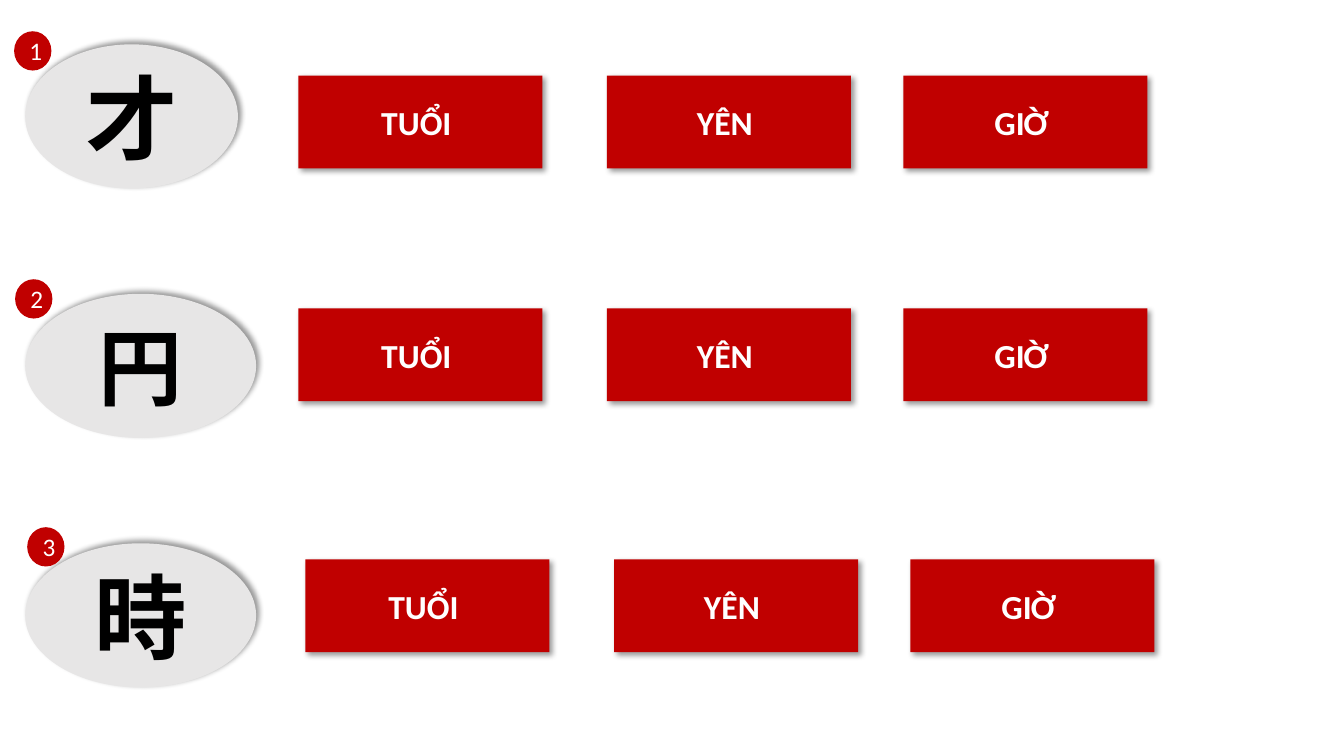
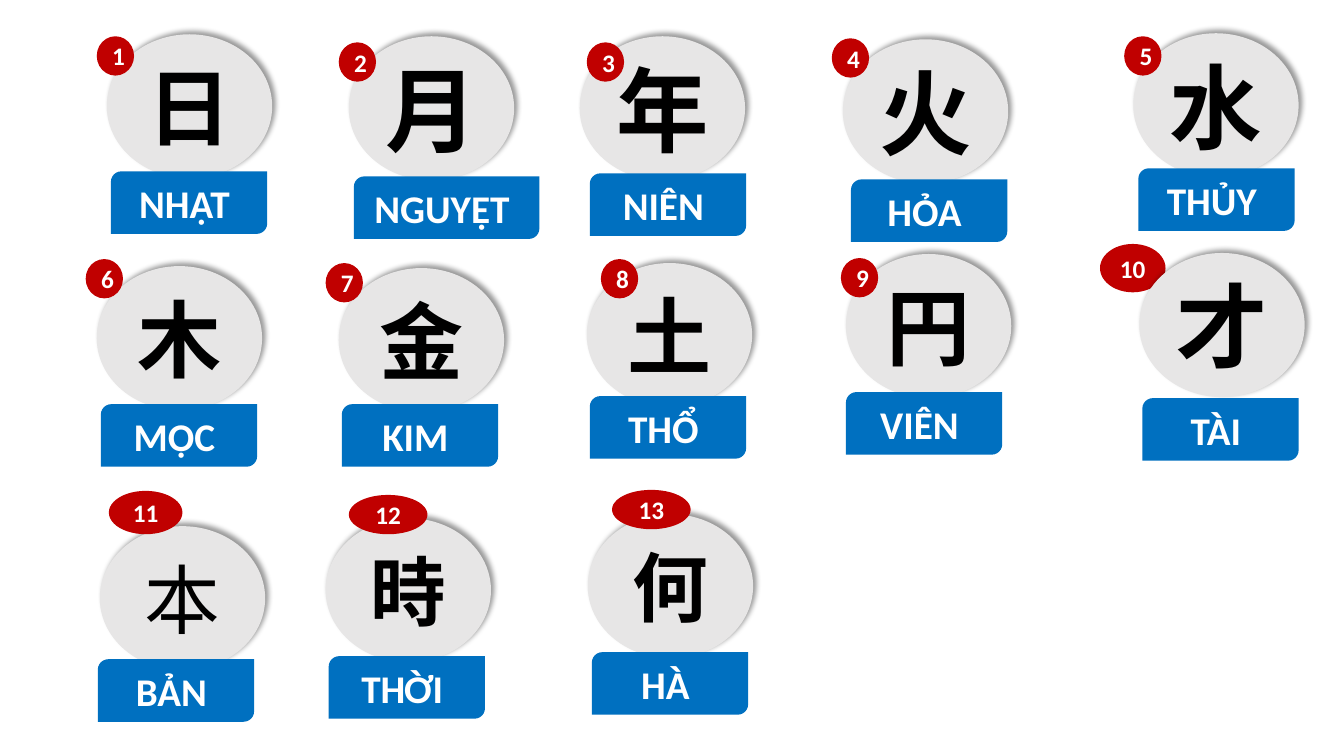
from lxml import etree
from pptx import Presentation
from pptx.dml.color import RGBColor
from pptx.enum.shapes import MSO_SHAPE as SHAPE
from pptx.enum.text import MSO_ANCHOR, PP_ALIGN
from pptx.oxml.ns import qn
from pptx.util import Inches, Pt

RED, BLUE, GREY, BLACK, WHITE = "C00000", "0070C0", "E7E6E6", "000000", "FFFFFF"
KANJI = dict(fill=GREY, color=BLACK, font="Arial", shadow=315)
OPTION = dict(fill=RED, size=24, bold=True, shadow=45, right=0.18)
LABEL = dict(fill=BLUE, size=28, bold=True, right=0.19)
BADGE = dict(fill=RED, size=18)
BADGE_SIZE = (0.37, 0.39)


def add_shadow(sp, angle):
    """Fill the shape's effect list with a soft outer shadow cast at angle degrees."""
    effects = sp._element.spPr.find(qn("a:effectLst"))
    shadow = etree.SubElement(
        effects, qn("a:outerShdw"), blurRad=str(Pt(4)), dist=str(Pt(3)),
        dir=str(angle * 60000), algn="tl" if angle == 45 else "bl", rotWithShape="0")
    color = etree.SubElement(shadow, qn("a:srgbClr"), val=BLACK)
    etree.SubElement(color, qn("a:alpha"), val="40000")


def add_text_shape(s, kind, box, text, *, fill, size, color=WHITE, font="Calibri",
                   bold=False, shadow=None, right=0.1):
    """Add a filled shape with one centred line; right is the right text inset."""
    sp = s.shapes.add_shape(kind, *map(Inches, box))
    sp.fill.solid()
    sp.fill.fore_color.rgb = RGBColor.from_string(fill)
    sp.line.fill.background()
    sp.shadow.inherit = False
    if shadow is not None:
        add_shadow(sp, shadow)
    tf = sp.text_frame
    tf.word_wrap = True
    tf.vertical_anchor = MSO_ANCHOR.MIDDLE
    tf.margin_right = Inches(right)
    p = tf.paragraphs[0]
    p.alignment = PP_ALIGN.CENTER
    r = p.add_run()
    r.text = text
    r.font.size = Pt(size)
    r.font.bold = bold
    r.font.color.rgb = RGBColor.from_string(color)
    r.font.name = font
    etree.SubElement(r.font._element, qn("a:ea"), typeface=font)


prs = Presentation()
prs.slide_width, prs.slide_height = Inches(13.33), Inches(7.5)
blank = prs.slide_layouts[6]

# Quiz: one kanji per row with three possible meanings
s = prs.slides.add_slide(blank)
options = [("TUỔI", 2.96), ("YÊN", 6.02), ("GIỜ", 8.96)]
# kanji, size, oval width, badge left, option top, option shift
questions = [
    ("才", 66, 2.11, 0.14, 0.75, 0),
    ("円", 60, 2.29, 0.15, 3.06, 0),
    ("時", 66, 2.29, 0.27, 5.55, 0.07),
]
for i, (kanji, size, width, badge_x, option_y, shift) in enumerate(questions):
    add_text_shape(s, SHAPE.FLOWCHART_CONNECTOR, (0.25, 0.44 + 2.475 * i, width, 1.43),
                   kanji, size=size, bold=True, **KANJI)
    for word, x in options:
        add_text_shape(s, SHAPE.RECTANGLE, (x + shift, option_y, 2.42, 0.92), word, **OPTION)
    add_text_shape(s, SHAPE.OVAL, (badge_x, 0.31 + 2.46 * i, *BADGE_SIZE), str(i + 1), **BADGE)

# Overview: numbered kanji with their readings
s = prs.slides.add_slide(blank)
# kanji, size, circle position, reading, label position, badge position
cards = [
    ("日", 60, (1.06, 0.34), "NHẬT", (1.1, 1.7), (0.96, 0.36)),
    ("月", 66, (3.46, 0.36), "NGUYỆT", (3.51, 1.75), (3.36, 0.42)),
    ("年", 66, (5.75, 0.36), "NIÊN", (5.85, 1.72), (5.82, 0.42)),
    ("火", 66, (8.36, 0.39), "HỎA", (8.44, 1.78), (8.25, 0.38)),
    ("水", 66, (11.24, 0.33), "THỦY", (11.29, 1.67), (11.15, 0.36)),
    ("木", 60, (0.96, 2.64), "MỘC", (1, 4.01), (0.85, 2.57)),
    ("金", 60, (3.36, 2.66), "KIM", (3.39, 4.01), (3.23, 2.61)),
    ("土", 60, (5.82, 2.61), "THỔ", (5.85, 3.93), (5.96, 2.57)),
    ("円", 60, (8.39, 2.52), "VIÊN", (8.39, 3.89), (8.34, 2.56)),
    ("才", 66, (11.3, 2.51), "TÀI", (11.33, 3.95), (10.91, 2.42)),
    ("本", 54, (0.99, 5.22), "BẢN", (0.97, 6.54), (1.08, 4.87)),
    ("時", 54, (3.23, 5.14), "THỜI", (3.26, 6.51), (3.46, 4.91)),
    ("何", 54, (5.83, 5.1), "HÀ", (5.87, 6.47), (6.07, 4.86)),
]
wide_badges = {10: (0.65, 0.48), 11: (0.73, 0.43), 12: (0.78, 0.39), 13: (0.78, 0.39)}
for number, (kanji, size, circle, reading, label, badge) in enumerate(cards, 1):
    label_width = 1.84 if reading == "NGUYỆT" else 1.55
    parts = [
        (SHAPE.FLOWCHART_CONNECTOR, (*circle, 1.64, 1.43), kanji,
         dict(KANJI, size=size, bold=kanji != "本")),
        (SHAPE.ROUND_2_DIAG_RECTANGLE, (*label, label_width, 0.62), reading, LABEL),
        (SHAPE.OVAL, (*badge, *wide_badges.get(number, BADGE_SIZE)), str(number),
         dict(BADGE, bold=True)),
    ]
    if number == 10:  # this badge sits behind its circle
        parts.insert(0, parts.pop())
    for kind, box, text, style in parts:
        add_text_shape(s, kind, box, text, **style)

prs.save("out.pptx")
